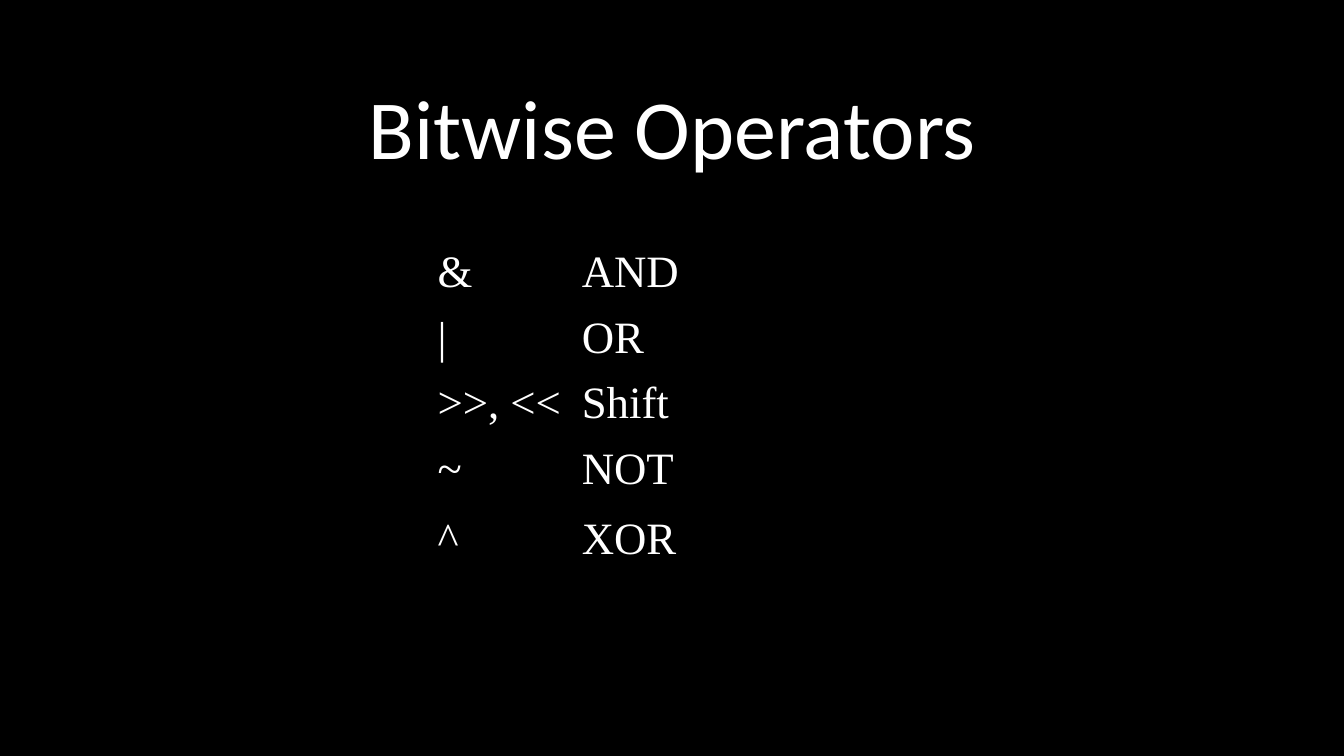
from pptx import Presentation
from pptx.dml.color import RGBColor
from pptx.enum.text import MSO_ANCHOR, MSO_AUTO_SIZE, PP_ALIGN
from pptx.oxml.ns import qn
from pptx.util import Inches, Pt

BOTTOM = MSO_ANCHOR.BOTTOM
NO_AUTOFIT = MSO_AUTO_SIZE.NONE
CENTER = PP_ALIGN.CENTER
NO_STYLE_NO_GRID = "{2D5ABB26-0587-4C30-8999-92F81FD0307C}"
COLORS = {"background": "000000", "text": "FFFFFF"}
OPERATORS = [
    ("&", "AND"),
    ("|", "OR"),
    (">>, <<", "Shift"),
    ("~", "NOT"),
    ("^", "XOR"),
]
COLUMN_WIDTHS = [1.43, 3.91]
ROW_HEIGHTS = [0.65, 0.65, 0.65, 0.69, 0.65]


def style_font(paragraph, name, size):
    paragraph.font.name = name
    paragraph.font.size = Pt(size)
    paragraph.font.color.rgb = RGBColor.from_string(COLORS["text"])


deck = Presentation()
deck.slide_width = Inches(13.33)
deck.slide_height = Inches(7.5)
slide = deck.slides.add_slide(deck.slide_layouts[5])
slide.background.fill.solid()
slide.background.fill.fore_color.rgb = RGBColor.from_string(COLORS["background"])

title = slide.shapes.title
title.left, title.top = Inches(1.74), Inches(0.54)
title.width, title.height = Inches(9.86), Inches(1.27)
title.text_frame.text = "Bitwise Operators"
title.text_frame.auto_size = NO_AUTOFIT
title.text_frame.vertical_anchor = BOTTOM
heading = title.text_frame.paragraphs[0]
heading.alignment = CENTER
heading.line_spacing = 0.9
style_font(heading, "Calibri", 60)

operators = slide.shapes.add_table(
    len(OPERATORS), len(COLUMN_WIDTHS),
    Inches(4.24), Inches(2.41),
    Inches(sum(COLUMN_WIDTHS)), Inches(sum(ROW_HEIGHTS)),
).table
operators.first_row = False
operators.horz_banding = False
operators._tbl.tblPr.find(qn("a:tableStyleId")).text = NO_STYLE_NO_GRID

for column, width in zip(operators.columns, COLUMN_WIDTHS):
    column.width = Inches(width)
for row, height, labels in zip(operators.rows, ROW_HEIGHTS, OPERATORS):
    row.height = Inches(height)
    for cell, label in zip(row.cells, labels):
        cell.text = label
        cell.fill.background()
        style_font(cell.text_frame.paragraphs[0], "Times New Roman", 32)

deck.save("out.pptx")
